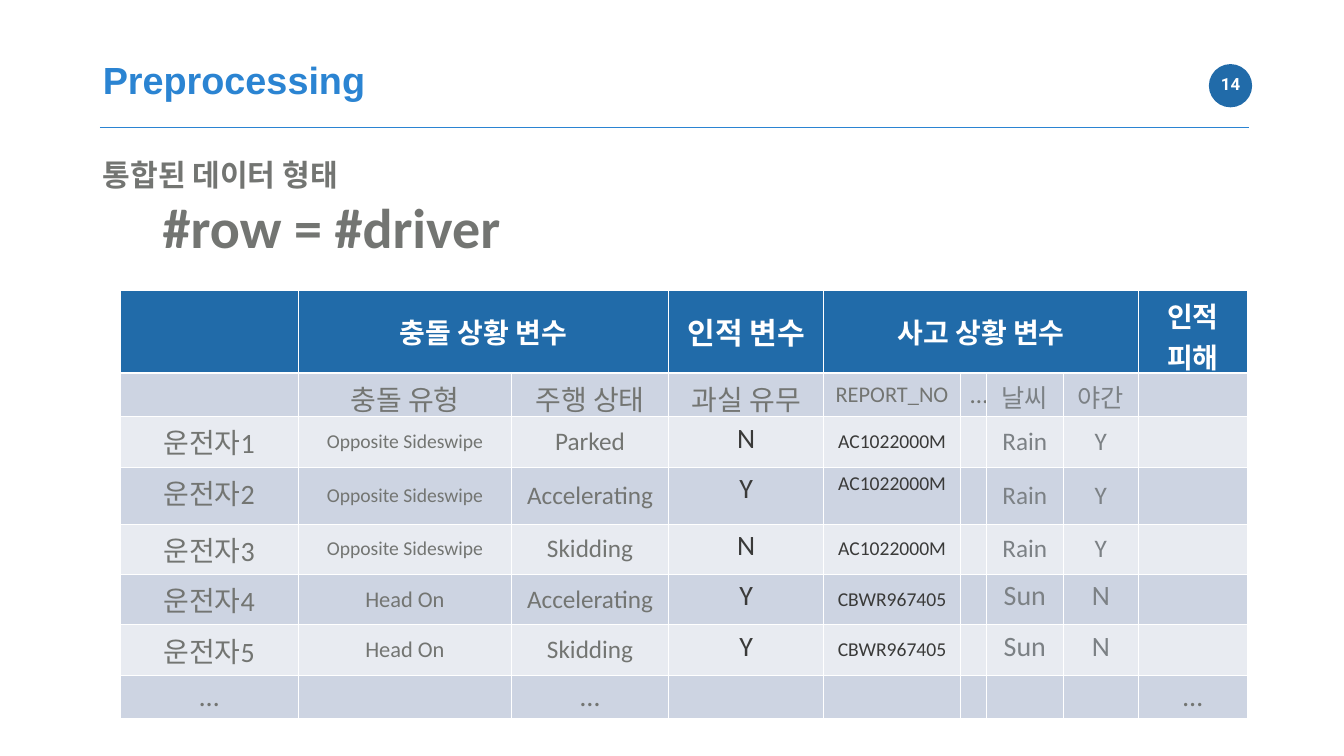
from dataclasses import dataclass
from typing import Any, NamedTuple

import lxml.etree
import pptx
import pptx.dml.color
import pptx.enum.shapes
import pptx.enum.text
import pptx.oxml.ns
import pptx.util

Cm, Pt = pptx.util.Cm, pptx.util.Pt
RGB = pptx.dml.color.RGBColor.from_string
Align = pptx.enum.text.PP_ALIGN
Anchor = pptx.enum.text.MSO_ANCHOR
Shape = pptx.enum.shapes.MSO_SHAPE
qn = pptx.oxml.ns.qn


@dataclass(frozen=True)
class Theme:
    white: str = "FFFFFF"
    navy: str = "216BA9"
    blue: str = "2B84D2"
    gray: str = "737572"
    cool_gray: str = "7C8185"
    dark: str = "3A3A39"
    band_dark: str = "CDD4E2"
    band_light: str = "E8EBF1"
    title_font: str = "Arial"
    body_font: str = "Calibri"
    number_font: str = "Roboto"
    number: int = 24
    code: int = 28
    small: int = 32
    medium: int = 36
    regular: int = 40
    lead: int = 43
    title: int = 54
    statement: int = 80


THEME = Theme()


class Line(NamedTuple):
    text: str
    size: int
    color: str = THEME.gray
    bold: bool = False
    font: str = THEME.body_font
    align: Any = Align.CENTER
    indent: float = 0


class Box(NamedTuple):
    left: float
    top: float
    width: float
    height: float

    def lengths(self) -> list:
        return [Cm(value) for value in self]


class Entry(NamedTuple):
    """Content of one table cell; each line of text is a paragraph."""
    text: str = ""
    size: int = THEME.regular
    color: str = THEME.gray
    anchor: Any = Anchor.MIDDLE
    bold: bool = False


class Driver(NamedTuple):
    collision: str
    motion: str
    fault: str
    report: str
    weather: str
    night: str


DRIVERS = [
    Driver("Opposite Sideswipe", "Parked", "N", "AC1022000M", "Rain", "Y"),
    Driver("Opposite Sideswipe", "Accelerating", "Y", "AC1022000M", "Rain", "Y"),
    Driver("Opposite Sideswipe", "Skidding", "N", "AC1022000M", "Rain", "Y"),
    Driver("Head On", "Accelerating", "Y", "CBWR967405", "Sun", "N"),
    Driver("Head On", "Skidding", "Y", "CBWR967405", "Sun", "N"),
]
COLUMN_WIDTHS = [8.99, 10.74, 7.92, 7.82, 6.88, 1.32, 3.86, 3.81, 5.46]
ROW_HEIGHTS = [4.17, 2.16, 2.54, 2.87, 2.54, 2.54, 2.54, 2.16]
HEADER_SPANS = [(1, 2), (4, 7)]


def apply(target: Any, values: dict) -> None:
    for attribute, value in values.items():
        setattr(target, attribute, value)


def write(frame: Any, lines: list[Line]) -> None:
    for index, line in enumerate(lines):
        paragraph = frame.add_paragraph() if index else frame.paragraphs[0]
        paragraph.alignment = line.align
        if line.indent:
            paragraph.level = 1
            paragraph._p.get_or_add_pPr().set("marL", str(Cm(line.indent)))
        run = paragraph.add_run()
        run.text = line.text
        apply(run.font, {"name": line.font, "size": Pt(line.size), "bold": line.bold})
        run.font.color.rgb = RGB(line.color)


def add_text(slide: Any, box: Box, lines: list[Line], **frame_format: Any) -> None:
    frame = slide.shapes.add_textbox(*box.lengths()).text_frame
    apply(frame, {"word_wrap": True, **frame_format})
    write(frame, lines)


def add_page_number(slide: Any) -> None:
    badge = slide.shapes.add_shape(Shape.OVAL, *Box(60.93, 3.23, 2.18, 2.18).lengths())
    badge.shadow.inherit = False
    badge.fill.solid()
    badge.fill.fore_color.rgb = RGB(THEME.navy)
    badge.line.fill.background()
    add_text(slide, Box(60.73, 3.3, 2.59, 1.85),
             [Line("14", THEME.number, THEME.white, True, THEME.number_font)],
             vertical_anchor=Anchor.MIDDLE, margin_left=Cm(0.6), margin_right=Cm(0.6),
             margin_top=Cm(0.3), margin_bottom=Cm(0.3))


def add_title_rule(slide: Any) -> None:
    rule = slide.shapes.add_connector(pptx.enum.shapes.MSO_CONNECTOR.STRAIGHT,
                                      Cm(5.03), Cm(6.43), Cm(62.97), Cm(6.43))
    rule.line.color.rgb = RGB(THEME.blue)
    rule.line.width = Pt(2.25)
    lxml.etree.SubElement(rule._element.spPr, qn("a:effectLst"))


def group_heading(text: str, size: int = THEME.regular) -> Entry:
    return Entry(text, size, THEME.white, bold=True)


def driver_row(number: int, driver: Driver) -> list[Entry]:
    clear = driver.weather == "Sun"
    conditions = (THEME.regular if clear else THEME.medium, THEME.cool_gray,
                  Anchor.TOP if clear else Anchor.MIDDLE)
    collision_size = THEME.small if driver.collision == "Head On" else THEME.code
    report_anchor = Anchor.TOP if number == 2 else Anchor.MIDDLE
    return [
        Entry(f"운전자{number}", anchor=Anchor.TOP),
        Entry(driver.collision, collision_size),
        Entry(driver.motion, THEME.medium),
        Entry(driver.fault, color=THEME.dark, anchor=Anchor.TOP),
        Entry(driver.report, THEME.code, THEME.dark, report_anchor),
        Entry(),
        Entry(driver.weather, *conditions),
        Entry(driver.night, *conditions),
        Entry(),
    ]


def table_rows() -> list[list[Entry]]:
    blank = Entry()
    more = Entry("…", anchor=Anchor.TOP)
    groups = [blank, group_heading("충돌 상황 변수"), blank,
              group_heading("인적 변수", THEME.lead), group_heading("사고 상황 변수"),
              blank, blank, blank, group_heading("인적\n피해")]
    variables = [blank,
                 *(Entry(name, anchor=Anchor.TOP) for name in ("충돌 유형", "주행 상태", "과실 유무")),
                 Entry("REPORT_NO", THEME.small), Entry("…", THEME.medium),
                 *(Entry(name, THEME.medium, THEME.cool_gray) for name in ("날씨", "야간")),
                 blank]
    drivers = [driver_row(number, driver) for number, driver in enumerate(DRIVERS, 1)]
    return [groups, variables, *drivers, [more, blank, more, *[blank] * 5, more]]


def add_borders(cell: Any, widths: dict[str, float]) -> None:
    properties = cell._tc.get_or_add_tcPr()
    for side, width in widths.items():
        border = lxml.etree.SubElement(properties, qn(f"a:ln{side}"), w=str(Pt(width)))
        fill = lxml.etree.SubElement(border, qn("a:solidFill"))
        lxml.etree.SubElement(fill, qn("a:srgbClr"), val=THEME.white)


def fill_cell(cell: Any, entry: Entry, row: int) -> None:
    add_borders(cell, {"L": 1, "R": 1, "T": 3 if row == 1 else 1, "B": 3 if row == 0 else 1})
    band = THEME.band_dark if row % 2 else THEME.band_light
    cell.fill.solid()
    cell.fill.fore_color.rgb = RGB(band if row else THEME.navy)
    apply(cell, {"vertical_anchor": entry.anchor, "margin_left": Cm(0.51),
                 "margin_right": Cm(0.51), "margin_top": Cm(0.25), "margin_bottom": Cm(0.25)})
    if entry.text:
        write(cell.text_frame, [Line(text, entry.size, entry.color, entry.bold)
                                for text in entry.text.split("\n")])


def add_driver_table(slide: Any) -> None:
    box = Box(6.05, 14.63, sum(COLUMN_WIDTHS), sum(ROW_HEIGHTS))
    table = slide.shapes.add_table(len(ROW_HEIGHTS), len(COLUMN_WIDTHS), *box.lengths()).table
    apply(table, {"first_row": False, "horz_banding": False})
    for column, width in zip(table.columns, COLUMN_WIDTHS):
        column.width = Cm(width)
    for row, height in zip(table.rows, ROW_HEIGHTS):
        row.height = Cm(height)
    for first, last in HEADER_SPANS:
        table.cell(0, first).merge(table.cell(0, last))
    for row, entries in enumerate(table_rows()):
        for column, entry in enumerate(entries):
            fill_cell(table.cell(row, column), entry, row)


def main() -> None:
    deck = pptx.Presentation()
    apply(deck, {"slide_width": Cm(67.74), "slide_height": Cm(38.1)})
    slide = deck.slides.add_slide(deck.slide_layouts[6])
    add_page_number(slide)
    add_title_rule(slide)
    add_text(slide, Box(4.93, 2.69, 48, 2.57),
             [Line("Preprocessing", THEME.title, THEME.blue, True, THEME.title_font, Align.LEFT)],
             vertical_anchor=Anchor.BOTTOM)
    add_text(slide, Box(4.93, 7.87, 33.86, 7.34),
             [Line("통합된 데이터 형태", THEME.lead, bold=True, align=Align.LEFT),
              Line("#row = #driver", THEME.statement, bold=True, align=Align.LEFT, indent=3.02)],
             margin_top=Cm(0))
    add_driver_table(slide)
    deck.save("out.pptx")


if __name__ == "__main__":
    main()
